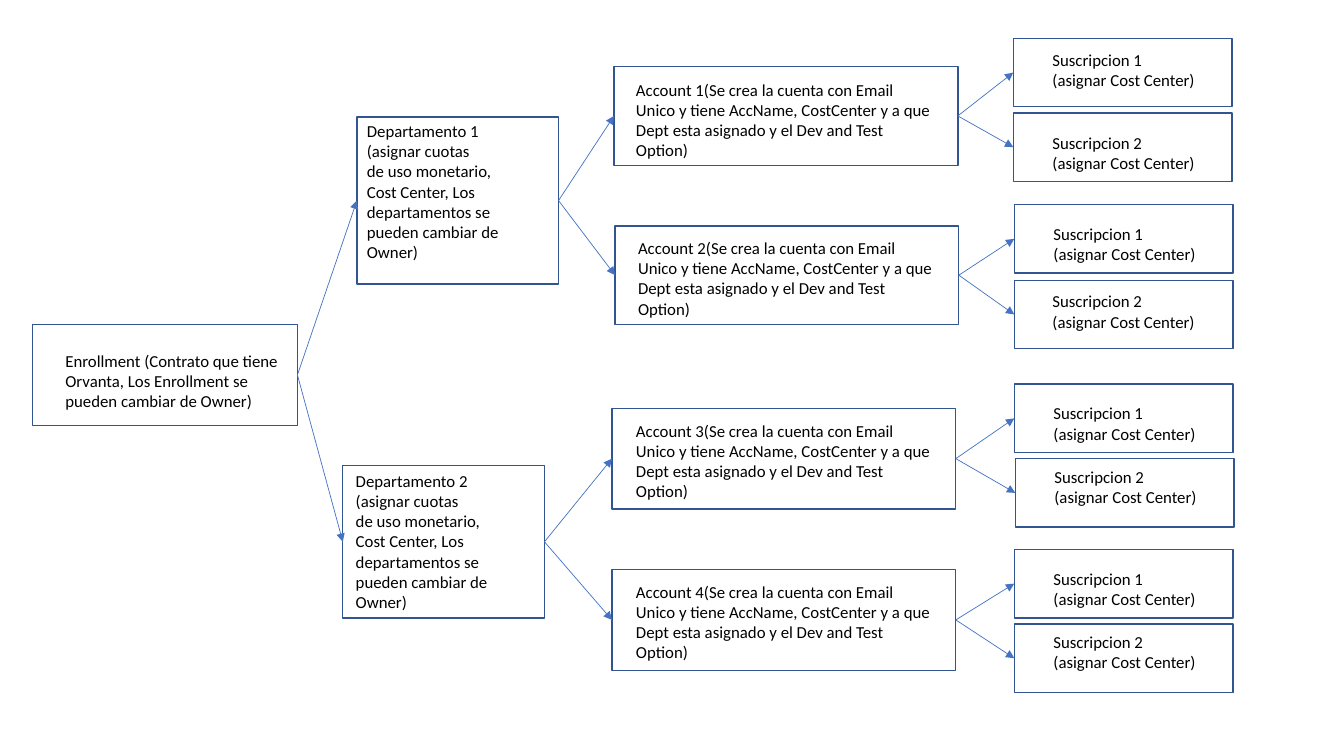
"""Builds the enrollment hierarchy slide."""
import pptx
import pptx.util
import pptx.dml.color
import pptx.enum.shapes
import pptx.enum.text
import pptx.oxml
import pptx.oxml.ns

Inches = pptx.util.Inches
COLORS = {"outline": "325491", "arrow": "4472C4", "text": "000000"}
LEFT_SITE, RIGHT_SITE = 1, 3

ENROLLMENT_TEXT = "Enrollment (Contrato que tiene Orvanta, Los Enrollment se pueden cambiar de Owner)"
DEPARTMENT_TEXT = (
    "Departamento {}\n(asignar cuotas\nde uso monetario,\n"
    "Cost Center, Los departamentos se pueden cambiar de Owner)"
)
ACCOUNT_TEXT = (
    "Account {}(Se crea la cuenta con Email Unico y tiene AccName, CostCenter "
    "y a que Dept esta asignado y el Dev and Test Option)"
)
SUBSCRIPTION_TEXT = "Suscripcion {}\n(asignar Cost Center)"

ENROLLMENT_BOX = (0.32, 3.22, 2.63, 1)
ENROLLMENT_CAPTION = (0.55, 3.43, 2.4, 0.71)
DEPARTMENTS = [
    ((3.54, 1.16, 2, 1.66), (3.54, 1.15, 1.88, 1.51)),
    ((3.4, 4.62, 2, 1.51), (3.43, 4.62, 1.82, 1.51)),
]
ACCOUNTS = [
    ((6.09, 0.66, 3.41, 0.98), (6.21, 0.74)),
    ((6.1, 2.24, 3.41, 0.98), (6.23, 2.31)),
    ((6.07, 4.05, 3.41, 1), (6.21, 4.12)),
    ((6.07, 5.65, 3.41, 1), (6.21, 5.72)),
]
SUBSCRIPTIONS = [
    [((10.05, 0.38), (0.29, 0.06)), ((10.05, 1.12), (0.29, 0.15))],
    [((10.06, 2.03), (0.29, 0.14)), ((10.06, 2.78), (0.28, 0.06))],
    [((10.06, 3.81), (0.29, 0.14)), ((10.07, 4.55), (0.29, 0.03))],
    [((10.06, 5.45), (0.29, 0.14)), ((10.06, 6.19), (0.29, 0.03))],
]


def rgb(name):
    """Return the named colour."""
    return pptx.dml.color.RGBColor.from_string(COLORS[name])


def add_caption(page, box, text, wrap=True):
    """Add a text box with one paragraph per line of text."""
    caption = page.shapes.add_textbox(*map(Inches, box))
    frame = caption.text_frame
    frame.text = text
    frame.word_wrap = wrap
    frame.auto_size = pptx.enum.text.MSO_AUTO_SIZE.SHAPE_TO_FIT_TEXT
    for para in frame.paragraphs:
        for span in para.runs:
            span.font.name = "Calibri"
            span.font.size = pptx.util.Pt(12)
            span.font.color.rgb = rgb("text")


def add_node(page, box, caption_box, text, wrap=True):
    """Add an outlined rectangle with its caption and return the rectangle."""
    node = page.shapes.add_shape(
        pptx.enum.shapes.MSO_SHAPE.RECTANGLE, *map(Inches, box)
    )
    node.shadow.inherit = False
    node.fill.background()
    node.line.color.rgb = rgb("outline")
    node.line.width = pptx.util.Pt(1)
    add_caption(page, caption_box, text, wrap)
    return node


def add_arrow(page, parent, child):
    """Connect the right side of the parent to the left side of the child."""
    arrow = page.shapes.add_connector(
        pptx.enum.shapes.MSO_CONNECTOR.STRAIGHT, 0, 0, 0, 0
    )
    arrow.begin_connect(parent, RIGHT_SITE)
    arrow.end_connect(child, LEFT_SITE)
    arrow.line.color.rgb = rgb("arrow")
    arrow.line.width = pptx.util.Pt(0.5)
    namespace = pptx.oxml.ns.nsdecls("a")
    head = pptx.oxml.parse_xml(f'<a:tailEnd {namespace} type="triangle"/>')
    arrow.line._get_or_add_ln().append(head)
    properties = arrow._element.spPr
    properties.append(pptx.oxml.parse_xml(f"<a:effectLst {namespace}/>"))


def add_subscriptions(page, account, places):
    """Add the subscriptions of one account."""
    for number, ((left, top), (indent, drop)) in enumerate(places, 1):
        caption_box = (left + indent, top + drop, 1.63, 0.5)
        subscription = add_node(
            page, (left, top, 2.17, 0.68), caption_box,
            SUBSCRIPTION_TEXT.format(number), wrap=False,
        )
        add_arrow(page, account, subscription)


def add_accounts(page, department, numbers):
    """Add the numbered accounts of one department with their subscriptions."""
    for number in numbers:
        box, corner = ACCOUNTS[number - 1]
        account = add_node(
            page, box, (*corner, 3.13, 0.91), ACCOUNT_TEXT.format(number)
        )
        add_arrow(page, department, account)
        add_subscriptions(page, account, SUBSCRIPTIONS[number - 1])


def add_hierarchy(page):
    """Add the enrollment and every level below it."""
    enrollment = add_node(page, ENROLLMENT_BOX, ENROLLMENT_CAPTION, ENROLLMENT_TEXT)
    for number, (box, caption_box) in enumerate(DEPARTMENTS, 1):
        department = add_node(page, box, caption_box, DEPARTMENT_TEXT.format(number))
        add_arrow(page, enrollment, department)
        add_accounts(page, department, (2 * number - 1, 2 * number))


def main():
    """Build and save the deck."""
    deck = pptx.Presentation()
    deck.slide_width, deck.slide_height = Inches(13.33), Inches(7.5)
    page = deck.slides.add_slide(deck.slide_layouts[6])
    add_hierarchy(page)
    deck.save("out.pptx")


main()
